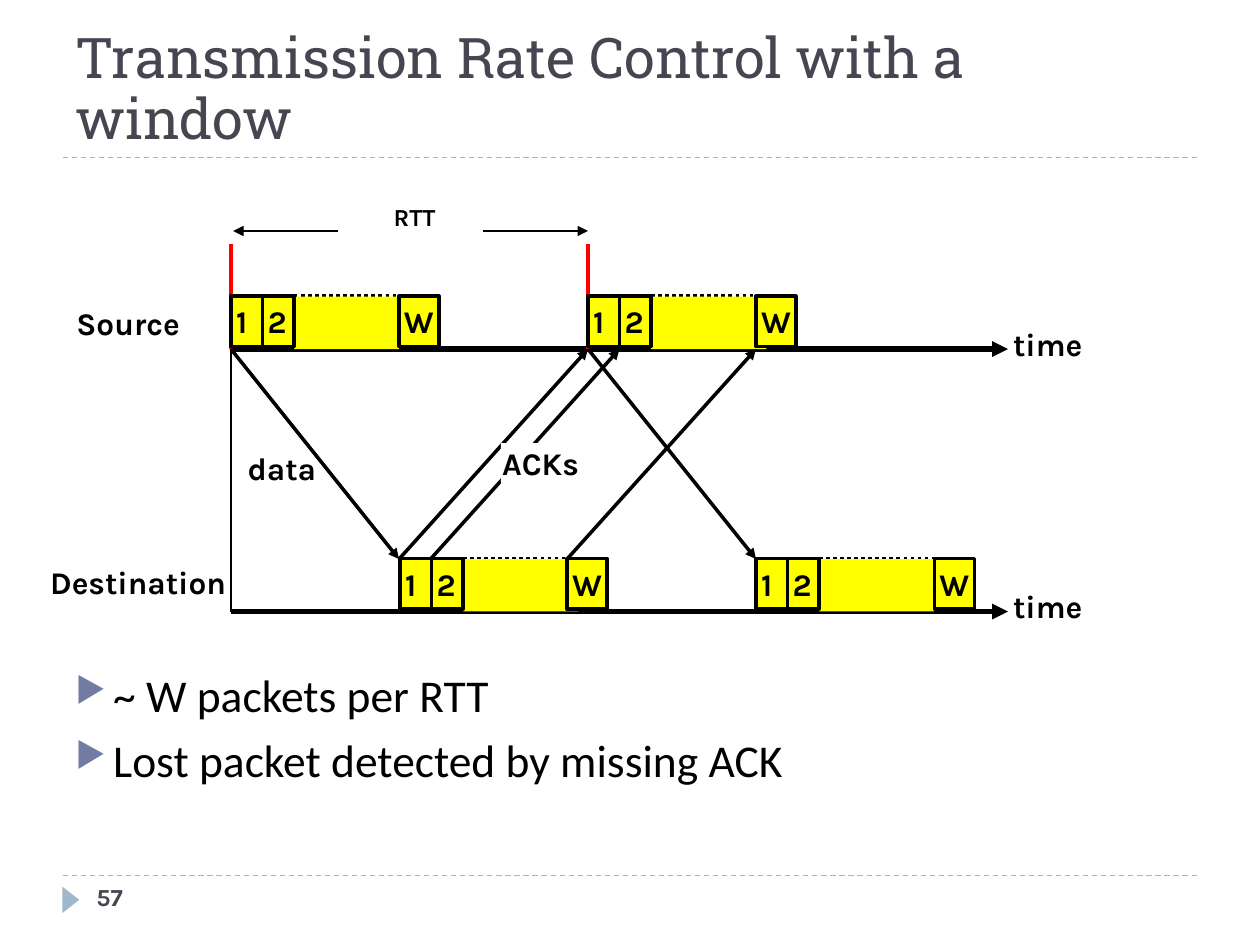
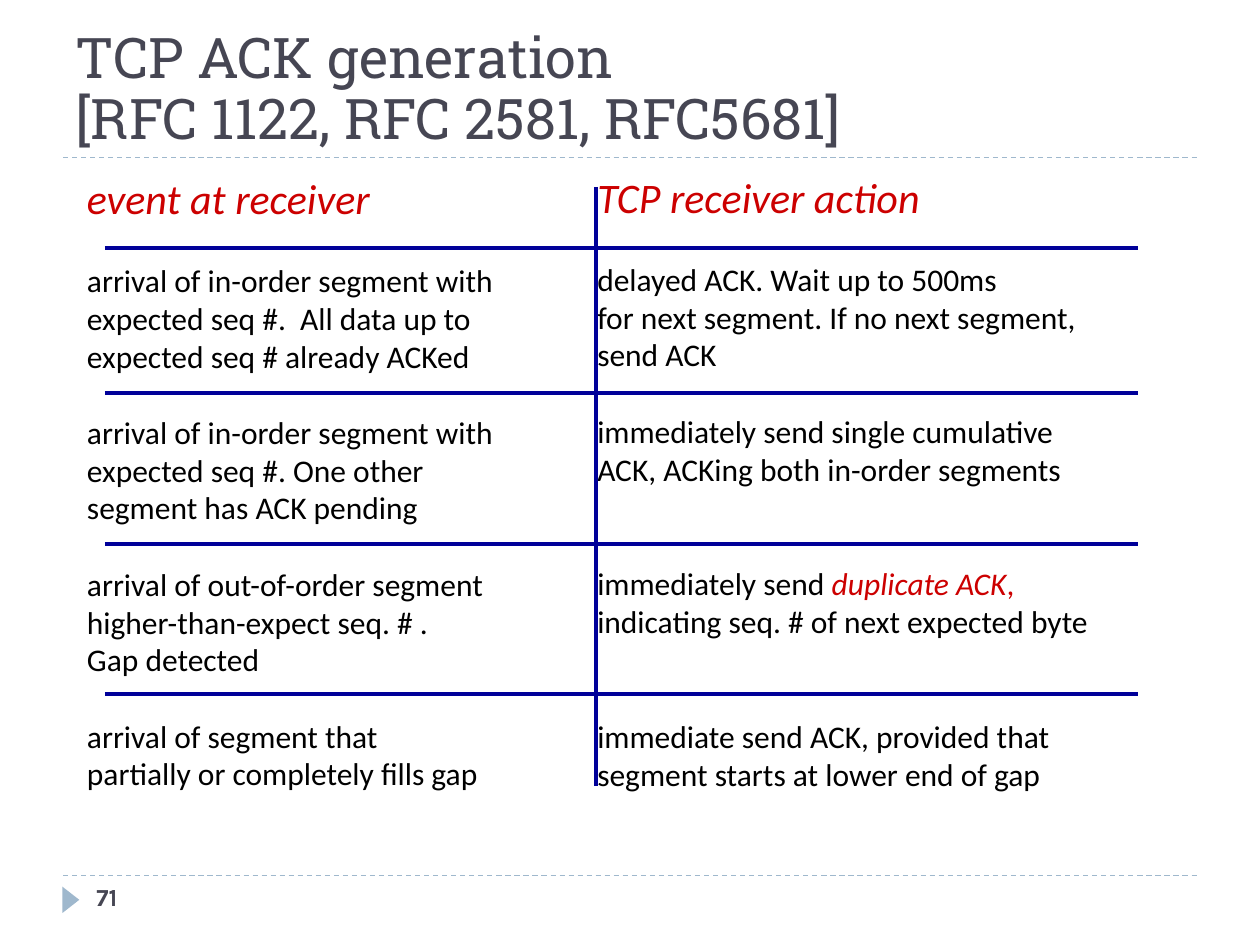
from dataclasses import dataclass
from lxml.etree import SubElement
from pptx import Presentation
from pptx.dml.color import RGBColor
from pptx.enum.dml import MSO_LINE
from pptx.enum.shapes import MSO_CONNECTOR, MSO_SHAPE
from pptx.enum.text import MSO_ANCHOR
from pptx.oxml.ns import qn
from pptx.util import Inches, Length, Pt

COLUMNS, ROWS = 120, 90
SLIDE_WIDTH, SLIDE_HEIGHT = Inches(10), Inches(7.5)
BLACK, WHITE, YELLOW, RED = "000000", "FFFFFF", "FFFF00", "FF0000"
SLATE, PALE_BLUE, BULLET_BLUE = "464653", "9FB8CD", "727CA3"
NAVY, CRIMSON = "000099", "CC0000"
THIN, MEDIUM, RULE, THICK = 0.75, 2, 2.25, 3
LINE_HEIGHT = 22


@dataclass(frozen=True)
class Style:
    font: str
    size: int
    color: str = BLACK
    bold: bool = False
    italic: bool = False


@dataclass(frozen=True)
class Box:
    left: float
    top: float
    width: float
    height: float


@dataclass(frozen=True)
class Span:
    text: str
    color: str = BLACK
    italic: bool = False


@dataclass(frozen=True)
class Line:
    start: tuple[float, float]
    end: tuple[float, float]
    color: str = BLACK
    width: float = MEDIUM
    dash: MSO_LINE | None = None
    head: bool = False
    tail: bool = False


@dataclass(frozen=True)
class PacketTrain:
    left: float
    top: float
    gap: float
    last: float


@dataclass(frozen=True)
class EventColumn:
    box: Box
    heading: str
    blocks: list[list[str | list[Span]]]


TITLE = Style("Roboto Slab", 32, SLATE)
BODY = Style("Calibri", 26)
LABEL = Style("Karla", 18, bold=True)
SMALL_LABEL = Style("Karla", 14, bold=True)
NUMBER = Style("Karla", 14, SLATE, bold=True)
HEADING = Style("Calibri", 24, CRIMSON, italic=True)
CELL = Style("Calibri", 18)


def column(count: float) -> Length:
    return Length(round(SLIDE_WIDTH * count / COLUMNS))


def row(count: float) -> Length:
    return Length(round(SLIDE_HEIGHT * count / ROWS))


def rgb(color: str) -> RGBColor:
    return RGBColor.from_string(color)


def place(box: Box) -> tuple[Length, Length, Length, Length]:
    return column(box.left), row(box.top), column(box.width), row(box.height)


def style_font(font, style: Style) -> None:
    font.name, font.size = style.font, Pt(style.size)
    font.bold, font.italic = style.bold, style.italic
    font.color.rgb = rgb(style.color)


def set_text(frame, text: str, style: Style, wrap: bool = True, side: float = 0.1, edge: float = 0.05) -> None:
    frame.word_wrap = wrap
    frame.margin_left = frame.margin_right = Inches(side)
    frame.margin_top = frame.margin_bottom = Inches(edge)
    frame.vertical_anchor = MSO_ANCHOR.TOP
    frame.text = text
    for paragraph in frame.paragraphs:
        style_font(paragraph.font, style)


def add_text(slide, box: Box, text: str, style: Style, wrap: bool = True):
    frame = slide.shapes.add_textbox(*place(box)).text_frame
    set_text(frame, text, style, wrap)
    return frame


def add_filled(slide, box: Box, fill: str, outline: str | None = None, kind=MSO_SHAPE.RECTANGLE):
    shape = slide.shapes.add_shape(kind, *place(box))
    shape.shadow.inherit = False
    shape.fill.solid()
    shape.fill.fore_color.rgb = rgb(fill)
    if outline:
        shape.line.color.rgb = rgb(outline)
        shape.line.width = Pt(MEDIUM)
    else:
        shape.line.fill.background()
    return shape


def add_line(slide, line: Line) -> None:
    (left, top), (right, bottom) = line.start, line.end
    connector = slide.shapes.add_connector(
        MSO_CONNECTOR.STRAIGHT, column(left), row(top), column(right), row(bottom))
    connector.line.color.rgb = rgb(line.color)
    connector.line.width = Pt(line.width)
    if line.dash:
        connector.line.dash_style = line.dash
    outline = connector.line._get_or_add_ln()
    for tag, shown in (("a:headEnd", line.head), ("a:tailEnd", line.tail)):
        if shown:
            SubElement(outline, qn(tag), type="triangle")
    SubElement(connector._element.spPr, qn("a:effectLst"))


def add_bullet(paragraph) -> None:
    properties = paragraph._p.get_or_add_pPr()
    indent = Inches(0.3)
    properties.set("marL", str(indent))
    properties.set("indent", str(-indent))
    paragraph.space_before = Pt(6)
    color = properties.makeelement(qn("a:buClr"))
    SubElement(color, qn("a:srgbClr"), val=BULLET_BLUE)
    size = properties.makeelement(qn("a:buSzPct"), val="76000")
    mark = properties.makeelement(qn("a:buChar"), char="▶")
    position = properties.index(properties.find(qn("a:defRPr")))
    properties[position:position] = [color, size, mark]


def add_base_slide(presentation, title: str, number: int):
    slide = presentation.slides.add_slide(presentation.slide_layouts[6])
    for level in (83.4, 15):
        add_line(slide, Line((6, level), (114, level), PALE_BLUE, THIN, MSO_LINE.DASH))
    marker = add_filled(slide, Box(5.5, 84.9, 2.5, 1.6), PALE_BLUE, kind=MSO_SHAPE.ISOSCELES_TRIANGLE)
    marker.rotation = 90
    frame = add_text(slide, Box(6, 2, 108, 13), title, TITLE)
    frame.vertical_anchor = MSO_ANCHOR.BOTTOM
    frame.paragraphs[0].line_spacing = 0.9
    add_text(slide, Box(8, 83.4, 26, 4.8), str(number), NUMBER)
    return slide


def add_packet_train(slide, train: PacketTrain) -> None:
    packet, wide_packet, height = 3, 3.8, 4.8
    gap_left = train.left + 2 * packet
    add_line(slide, Line((gap_left, train.top), (gap_left + train.gap, train.top), dash=MSO_LINE.ROUND_DOT))
    add_filled(slide, Box(gap_left, train.top + 0.05, train.gap, 5), YELLOW)
    for text, left, width in (("1", train.left, packet), ("2", train.left + packet, packet),
                              ("W", train.last, wide_packet)):
        shape = add_filled(slide, Box(left, train.top, width, height), YELLOW, BLACK)
        set_text(shape.text_frame, text, LABEL, side=0.04)


def add_window_slide(presentation) -> None:
    slide = add_base_slide(presentation, "Transmission Rate Control with a window", 57)
    frame = add_text(slide, Box(6, 62.9, 108, 17.9),
                     "~ W packets per RTT\nLost packet detected by missing ACK", BODY)
    for paragraph in frame.paragraphs:
        add_bullet(paragraph)

    source, destination = 33.25, 53.25
    first_send, second_send, axis_end = 22, 56, 96
    for level in (source, destination + 5):
        add_line(slide, Line((first_send, level), (axis_end, level), width=THICK, tail=True))
        add_text(slide, Box(95.3, level - 2.9, 9.4, 4.8), "time", LABEL, wrap=False)
    add_line(slide, Line((first_send, destination + 5), (first_send, source), width=THIN))
    for left in (first_send, second_send):
        add_line(slide, Line((left, source), (left, source - 10), RED, RULE))

    add_line(slide, Line((22.2, 22), (32.2, 22), width=THIN, head=True))
    add_line(slide, Line((46, 22), (56, 22), width=THIN, tail=True))
    add_text(slide, Box(36.3, 18.6, 6.6, 4), "RTT", SMALL_LABEL, wrap=False)
    add_text(slide, Box(6.1, 28.4, 12.5, 4.8), "Source", LABEL, wrap=False)
    add_text(slide, Box(3.6, 53, 20, 4.8), "Destination", LABEL, wrap=False)

    for train in (PacketTrain(first_send, 28.2, 10, 38), PacketTrain(38.1, 53.2, 11, 54),
                  PacketTrain(second_send, 28.2, 11, 72), PacketTrain(72, 53.2, 11, 89)):
        add_packet_train(slide, train)

    for left in (first_send, second_send):
        add_line(slide, Line((left, source), (left + 16, destination), tail=True))
    for left in (38, 41, 54):
        add_line(slide, Line((left, destination), (left + 18, source), tail=True))
    add_text(slide, Box(22.4, 42.2, 9.2, 4.8), "data", LABEL, wrap=False)
    acknowledgements = add_filled(slide, Box(47.7, 42.2, 7.7, 3.8), WHITE)
    set_text(acknowledgements.text_frame, "ACKs", LABEL, wrap=False, side=0.01, edge=0.01)


def add_event_column(slide, events: EventColumn) -> None:
    frame = add_text(slide, events.box, events.heading, HEADING)
    blank_lines = 1
    for block in events.blocks:
        for index, content in enumerate(block):
            paragraph = frame.add_paragraph()
            style_font(paragraph.font, CELL)
            if index == 0:
                paragraph.space_before = Pt(blank_lines * LINE_HEIGHT)
            if isinstance(content, str):
                paragraph.text = content
                continue
            for span in content:
                run = paragraph.add_run()
                run.text = span.text
                run.font.color.rgb = rgb(span.color)
                run.font.italic = span.italic
        blank_lines = 4 - len(block)


def add_acknowledgement_slide(presentation) -> None:
    slide = add_base_slide(presentation, "TCP ACK generation\v[RFC 1122, RFC 2581, RFC5681]", 71)
    add_event_column(slide, EventColumn(Box(7.1, 15.8, 47.2, 67.2), "event at receiver", [
        ["arrival of in-order segment with", "expected seq #.  All data up to",
         "expected seq # already ACKed"],
        ["arrival of in-order segment with", "expected seq #. One other", "segment has ACK pending"],
        ["arrival of out-of-order segment", "higher-than-expect seq. # .", "Gap detected"],
        ["arrival of segment that", "partially or completely fills gap"],
    ]))
    add_event_column(slide, EventColumn(Box(55.7, 15.7, 56.8, 67.2), "TCP receiver action", [
        ["delayed ACK. Wait up to 500ms", "for next segment. If no next segment,", "send ACK"],
        ["immediately send single cumulative", "ACK, ACKing both in-order segments"],
        [[Span("immediately send "), Span("duplicate ACK", CRIMSON, True), Span(",", CRIMSON)],
         "indicating seq. # of next expected byte"],
        ["immediate send ACK, provided that", "segment starts at lower end of gap"],
    ]))
    add_line(slide, Line((56.8, 17.8), (56.8, 74.9), NAVY, RULE))
    for level in (23.6, 37.4, 51.8, 66.1):
        add_line(slide, Line((10, level), (108.4, level), NAVY, RULE))


def main() -> None:
    presentation = Presentation()
    presentation.slide_width, presentation.slide_height = SLIDE_WIDTH, SLIDE_HEIGHT
    add_window_slide(presentation)
    add_acknowledgement_slide(presentation)
    presentation.save("out.pptx")


main()
